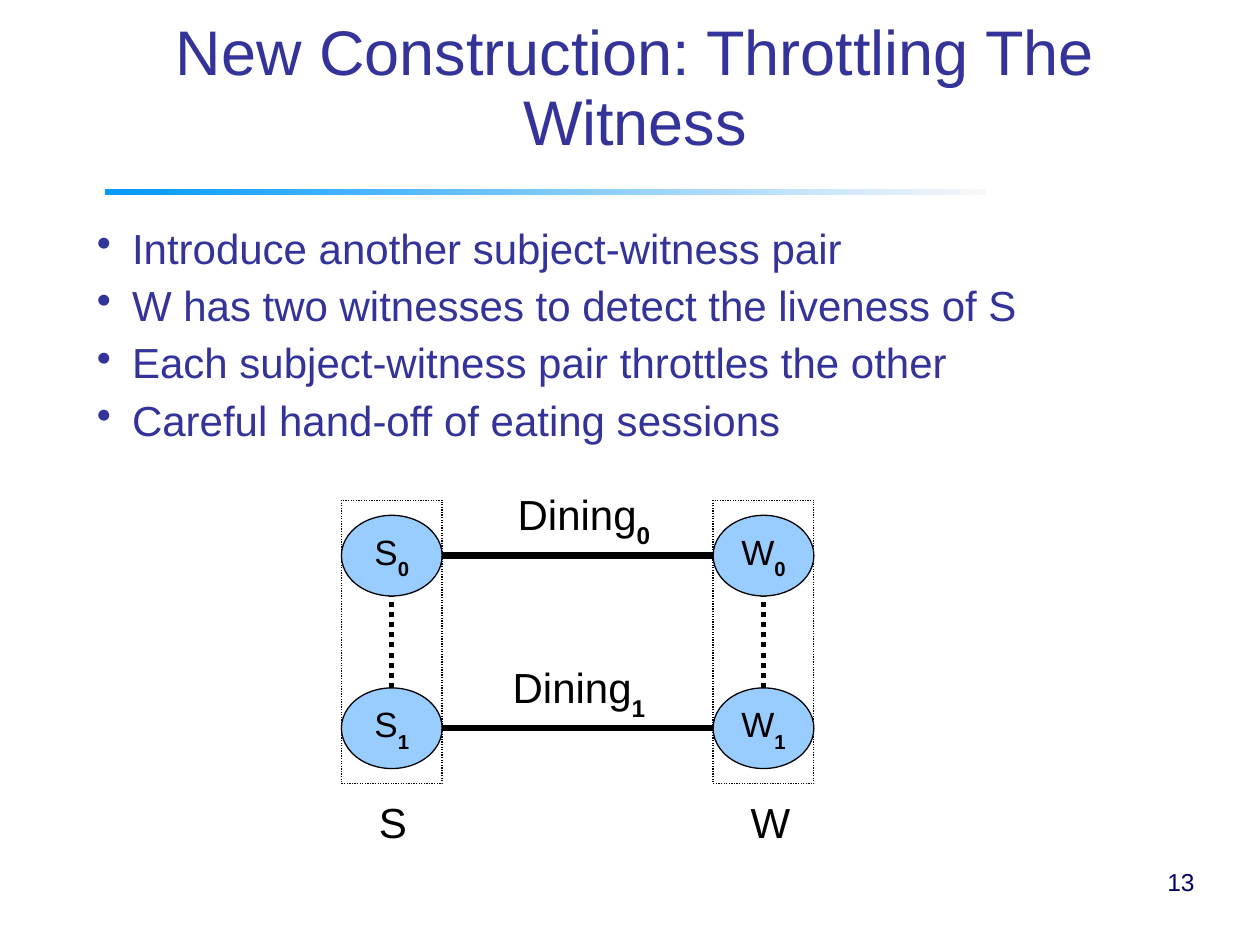
from dataclasses import dataclass

from lxml import etree
from pptx import Presentation
from pptx import util as u
from pptx.dml.color import RGBColor
from pptx.enum import dml, shapes, text
from pptx.oxml.ns import qn


@dataclass(frozen=True)
class Theme:
    font: str = "Arial"
    ink: str = "333399"
    dark: str = "000000"
    page: str = "000066"
    node: str = "99CCFF"
    bar: tuple = ("0099FF", "F8F8F8")
    head: int = 36
    body: int = 24
    small: int = 20
    foot: int = 14
    thin: float = 0.75
    dots: float = 2.89
    thick: float = 3.6


T = Theme()
ALIGN, ANCHOR = text.PP_ALIGN, text.MSO_ANCHOR
DOT = dml.MSO_LINE.ROUND_DOT

# Diagram grid: one column per process, one row per dining instance
COLS = {"S": 2.71, "W": 5.66}
ROWS = {"0": 4.09, "1": 5.46}
WIDE, HIGH = 0.8, 0.64
PAD = 0.12

POINTS = (
    "Introduce another subject-witness pair",
    "W has two witnesses to detect the liveness of S",
    "Each subject-witness pair throttles the other",
    "Careful hand-off of eating sessions",
)


def rgb(code):
    return RGBColor.from_string(code)


def box(*sides):
    return [u.Inches(side) for side in sides]


def apply(item, **values):
    for name, value in values.items():
        setattr(item, name, value)


def setup(frame, anchor=ANCHOR.TOP, right=0.1, top=0.05):
    apply(frame, word_wrap=True, auto_size=text.MSO_AUTO_SIZE.NONE,
          vertical_anchor=anchor, margin_left=u.Inches(0.1),
          margin_right=u.Inches(right), margin_top=u.Inches(top),
          margin_bottom=u.Inches(0.05))


def write(para, words, size, color, sub="", **form):
    """Fill a paragraph, with an optional bold subscript."""
    apply(para, **form)
    for part in filter(None, (words, sub)):
        run = para.add_run()
        run.text = part
        apply(run.font, name=T.font, size=u.Pt(size))
        run.font.color.rgb = rgb(color)
    if sub:
        run.font.bold = True
        run.font._element.set("baseline", "-33000")


def label(slide, place, words, size=T.body, color=T.dark, sub="",
          anchor=ANCHOR.TOP, right=0, **form):
    frame = slide.shapes.add_textbox(*box(*place)).text_frame
    setup(frame, anchor, right)
    write(frame.paragraphs[0], words, size, color, sub, **form)


def stroke(line, width, dash=None):
    line.color.rgb = rgb(T.dark)
    line.width = u.Pt(width)
    if dash:
        line.dash_style = dash


def shape(slide, kind, place):
    item = slide.shapes.add_shape(kind, *box(*place))
    item.shadow.inherit = False
    return item


def node(slide, name, row):
    item = shape(slide, shapes.MSO_SHAPE.OVAL,
                 (COLS[name], ROWS[row], WIDE, HIGH))
    item.fill.solid()
    item.fill.fore_color.rgb = rgb(T.node)
    stroke(item.line, T.thin)
    setup(item.text_frame, ANCHOR.MIDDLE)
    write(item.text_frame.paragraphs[0], name, T.small, T.dark, row,
          alignment=ALIGN.CENTER)


def group(slide, name):
    """Dotted frame around a column of nodes, with its name below."""
    top = ROWS["0"] - PAD
    tall = ROWS["1"] + HIGH + PAD - top
    item = shape(slide, shapes.MSO_SHAPE.RECTANGLE,
                 (COLS[name], top, WIDE, tall))
    item.fill.background()
    stroke(item.line, T.thin, DOT)
    label(slide, (COLS[name] + 0.2, top + tall + 0.05, 0.67, 0.64), name)


def link(slide, start, end, width, dash=None):
    item = slide.shapes.add_connector(shapes.MSO_CONNECTOR.STRAIGHT,
                                      *box(*start, *end))
    stroke(item.line, width, dash)
    etree.SubElement(item._element.spPr, qn("a:effectLst"))


def bullet(para):
    props = para._p.get_or_add_pPr()
    indent = u.Inches(0.28)
    props.set("marL", str(indent))
    props.set("indent", str(-indent))
    color = etree.SubElement(props, qn("a:buClr"))
    etree.SubElement(color, qn("a:srgbClr"), val=T.ink)
    etree.SubElement(props, qn("a:buChar"), char="•")


def heading(slide):
    bar = shape(slide, shapes.MSO_SHAPE.RECTANGLE, (0.83, 1.5, 7, 0.05))
    bar.line.fill.background()
    bar.fill.gradient()
    bar.fill.gradient_angle = 0
    for stop, code in zip(bar.fill.gradient_stops, T.bar):
        stop.color.rgb = rgb(code)
    title = slide.shapes.title
    left, top, width, height = box(0.67, 0.41, 8.74, 0.91)
    apply(title, left=left, top=top, width=width, height=height)
    setup(title.text_frame, ANCHOR.BOTTOM, top=0.09)
    write(title.text_frame.paragraphs[0],
          "New Construction: Throttling The Witness", T.head, T.ink,
          alignment=ALIGN.CENTER, line_spacing=0.93)


def points(slide):
    frame = slide.shapes.add_textbox(*box(0.67, 1.75, 8.66, 2.08)).text_frame
    setup(frame)
    for index, words in enumerate(POINTS):
        para = frame.add_paragraph() if index else frame.paragraphs[0]
        bullet(para)
        write(para, words, T.body, T.ink, line_spacing=0.93,
              space_before=u.Pt(6 if index else 0))


def diagram(slide):
    for name, left in COLS.items():
        for row in ROWS:
            node(slide, name, row)
        group(slide, name)
        mid = left + WIDE / 2
        link(slide, (mid, ROWS["1"]), (mid, ROWS["0"] + HIGH), T.dots, DOT)
    for (row, top), left in zip(ROWS.items(), (4.01, 3.97)):
        mid = top + HIGH / 2
        link(slide, (COLS["S"] + WIDE, mid), (COLS["W"], mid), T.thick)
        label(slide, (left, top - 0.26, 1.22, 0.79), "Dining", sub=row)


def main():
    deck = Presentation()
    deck.slide_width, deck.slide_height = box(10, 7.5)
    slide = deck.slides.add_slide(deck.slide_layouts[5])
    heading(slide)
    diagram(slide)
    points(slide)
    # Page number
    label(slide, (7.5, 6.75, 2.08, 0.5), "13", T.foot, T.page,
          anchor=ANCHOR.MIDDLE, right=0.1, alignment=ALIGN.RIGHT)
    deck.save("out.pptx")


if __name__ == "__main__":
    main()
